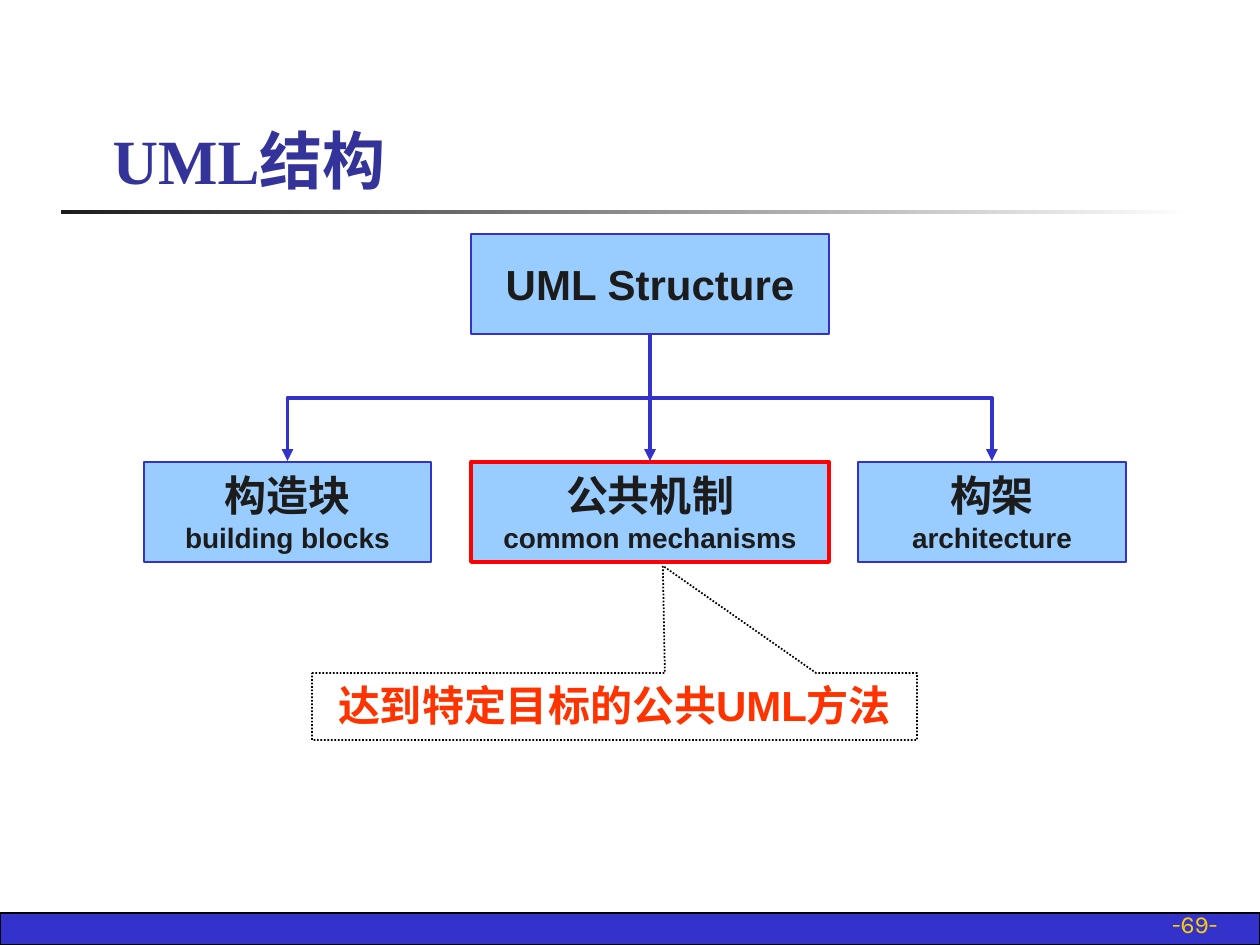
from lxml.etree import SubElement
from pptx import Presentation
from pptx.dml.color import RGBColor
from pptx.enum.dml import MSO_LINE
from pptx.enum.shapes import MSO_CONNECTOR, MSO_SHAPE
from pptx.enum.text import MSO_ANCHOR, MSO_AUTO_SIZE, PP_ALIGN
from pptx.oxml.ns import qn
from pptx.util import Emu, Pt

BLUE, SKY, INK, RED = "3333CC", "99CCFF", "1C1C1C", "FF0000"
LABEL = {"name": "Arial", "size": Pt(24), "bold": True}
SMALL = {**LABEL, "size": Pt(16)}


def px(n):
    """Turn pixels into EMU at 126 to the inch."""
    return Emu(round(n * 914400 / 126))


def rgb(value):
    """Turn a hex string into a colour."""
    return RGBColor.from_string(value)


def write(sp, lines, color, align, anchor, wrap=False):
    """Write (text, font format) lines into a shape."""
    tf = sp.text_frame
    tf.auto_size = MSO_AUTO_SIZE.NONE
    tf.word_wrap = wrap
    tf.vertical_anchor = anchor
    for i, (text, fmt) in enumerate(lines):
        p = tf.add_paragraph() if i else tf.paragraphs[0]
        p.alignment = align
        r = p.add_run()
        r.text = text
        for key, value in fmt.items():
            setattr(r.font, key, value)
        r.font.color.rgb = rgb(color)


def add_box(s, box, fill=None, line=None, width=1.5, kind=MSO_SHAPE.RECTANGLE):
    """Add a plain shape with the given fill and outline."""
    sp = s.shapes.add_shape(kind, *map(px, box))
    sp.shadow.inherit = False
    if fill:
        sp.fill.solid()
        sp.fill.fore_color.rgb = rgb(fill)
    else:
        sp.fill.background()
    if line:
        sp.line.color.rgb = rgb(line)
        sp.line.width = Pt(width)
    else:
        sp.line.fill.background()
    return sp


def add_arrow(s, x1, y1, x2, y2):
    """Add a downward arrow, with an elbow when the ends are not in line."""
    if x1 == x2:
        c = s.shapes.add_connector(MSO_CONNECTOR.STRAIGHT, *map(px, (x1, y1, x2, y2)))
    else:
        cx, cy = (x1 + x2) / 2, (y1 + y2) / 2
        half_w, half_h = (y2 - y1) / 2, abs(x2 - x1) / 2
        side = 1 if x2 < x1 else -1
        ends = (cx - side * half_w, cy - half_h, cx + side * half_w, cy + half_h)
        c = s.shapes.add_connector(MSO_CONNECTOR.ELBOW, *map(px, ends))
        c._element.spPr.find(qn("a:xfrm")).set("rot", str((90 if side > 0 else 270) * 60000))
    c.line.color.rgb = rgb(BLUE)
    c.line.width = Pt(2.25)
    SubElement(c.line._get_or_add_ln(), qn("a:tailEnd"), type="triangle")
    SubElement(c._element.spPr, qn("a:effectLst"))


def add_header(s, box):
    """Place the title and the fading rule beneath it."""
    x, y, w, h = box
    title = s.shapes.title
    values = zip(("left", "top", "width", "height"), (x + 39, y, w - 60, h))
    for key, value in values:
        setattr(title, key, px(value))
    fmt = {"name": "Times New Roman", "size": Pt(36), "bold": True}
    write(title, [("UML结构", fmt)], "333399", PP_ALIGN.LEFT, MSO_ANCHOR.BOTTOM, True)
    rule = add_box(s, (x, y + h + 7, w, 4))
    rule.fill.gradient()
    rule.fill.gradient_angle = 0
    for stop, position, color in zip(rule.fill.gradient_stops, (0, 1), (INK, "FFFFFF")):
        stop.position = position
        stop.color.rgb = rgb(color)


def add_footer(s, box):
    """Place the bottom band and the page number."""
    x, y, w, h = box
    add_box(s, box, BLUE, "000000", 0.75)
    number = s.shapes.add_textbox(*map(px, (x + w - 292, y - 10, 262, 42)))
    write(number, [("-69-", {"name": "Karla", "size": Pt(14)})], "FFCF01",
          PP_ALIGN.RIGHT, MSO_ANCHOR.BOTTOM, True)


def add_tree(s, box):
    """Place the root, its three parts and the arrows between them."""
    x, y, w, h = box
    node_h, root_x, root_w = 100, x + 327, 358
    parts = [
        (x, 287, "构造块", "building blocks", BLUE, 1.5),
        (root_x, root_w, "公共机制", "common mechanisms", RED, 2.25),
        (x + w - 268, 268, "构架", "architecture", BLUE, 1.5),
    ]
    part_y = y + h - node_h
    root = add_box(s, (root_x, y, root_w, node_h), SKY, BLUE)
    write(root, [("UML Structure", LABEL)], INK, PP_ALIGN.CENTER, MSO_ANCHOR.MIDDLE)
    for left, width, name, english, line, weight in parts:
        sp = add_box(s, (left, part_y, width, node_h), SKY, line, weight)
        write(sp, [(name, LABEL), (english, SMALL)], INK,
              PP_ALIGN.CENTER, MSO_ANCHOR.MIDDLE)
        add_arrow(s, root_x + root_w / 2, y + node_h + 1, left + width / 2, part_y - 1)


def add_callout(s, box):
    """Place the dotted callout that points at the middle part."""
    sp = add_box(s, box, None, "000000", 1, MSO_SHAPE.RECTANGULAR_CALLOUT)
    sp.line.dash_style = MSO_LINE.ROUND_DOT
    sp.adjustments[0], sp.adjustments[1] = 0.08, -2.1
    write(sp, [("达到特定目标的公共UML方法", LABEL)], "FF3300",
          PP_ALIGN.CENTER, MSO_ANCHOR.TOP)


def main():
    """Build the slide and save it."""
    prs = Presentation()
    prs.slide_width, prs.slide_height = px(1260), px(945)
    s = prs.slides.add_slide(prs.slide_layouts[5])
    add_footer(s, (0, 913, 1260, 32))
    add_header(s, (61, 45, 1134, 158))
    add_tree(s, (144, 234, 982, 328))
    add_callout(s, (312, 673, 605, 67))
    prs.save("out.pptx")


if __name__ == "__main__":
    main()
